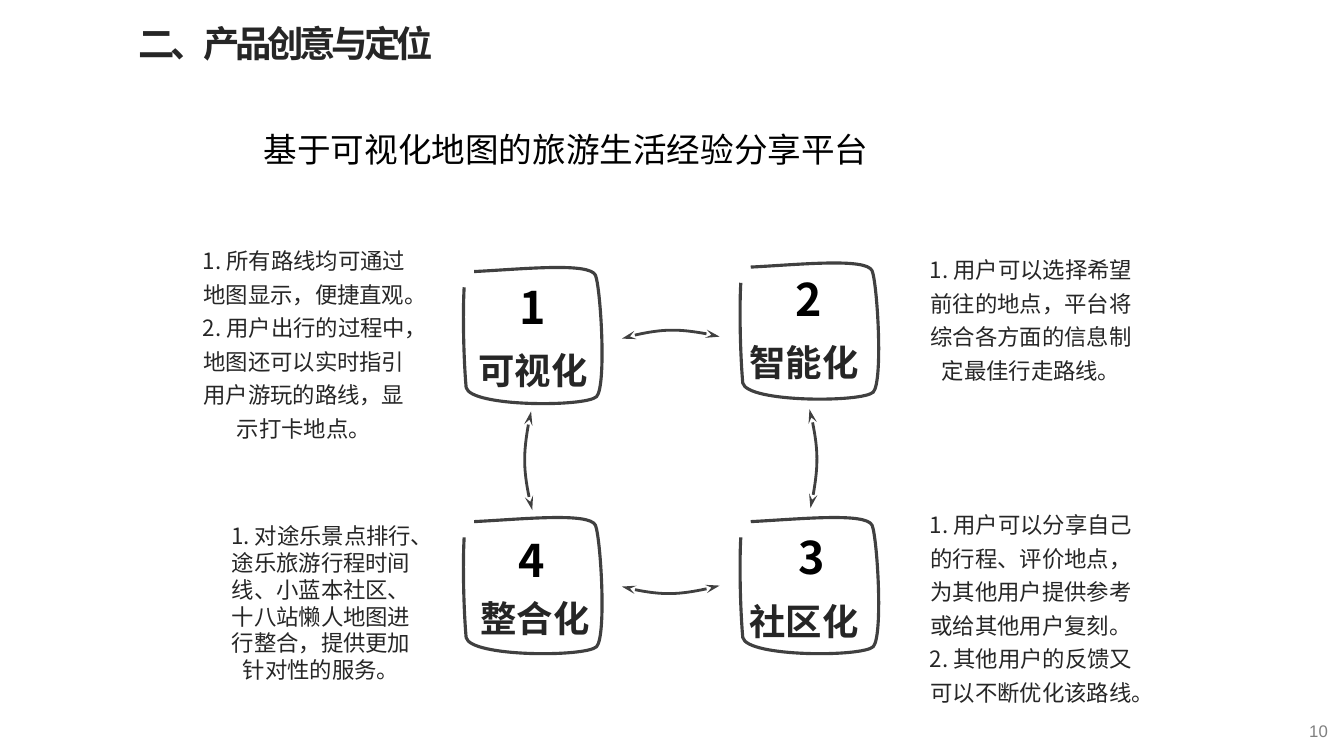
from lxml import etree
from pptx import Presentation
from pptx.dml.color import RGBColor
from pptx.enum.text import MSO_AUTO_SIZE, PP_ALIGN
from pptx.oxml.ns import qn
from pptx.util import Pt

LEFT, CENTER, RIGHT, JUSTIFY = PP_ALIGN.LEFT, PP_ALIGN.CENTER, PP_ALIGN.RIGHT, PP_ALIGN.JUSTIFY
GROW = MSO_AUTO_SIZE.SHAPE_TO_FIT_TEXT
CJK = "Noto Sans CJK SC"
INK, LINE, BLACK, GREY, WHITE = "262626", "404040", "000000", "808080", "FFFFFF"

TITLE = dict(size=26, bold=True, color=INK, align=JUSTIFY, tracking=-300)
SUBTITLE = dict(size=24, color=BLACK, align=CENTER, wrap=False)
NUMBER = dict(size=32, bold=True, color=BLACK, wrap=False)
LABEL = dict(size=26, bold=True, color=INK, align=CENTER)
NOTE = dict(size=16, color=INK, align=CENTER, spacing=1.25)
TIGHT_NOTE = dict(size=16, color=INK, align=CENTER)
PAGE = dict(size=12, color=GREY, align=RIGHT, spacing=1.2, font="Arial")

HEADING = (["二、产品创意与定位"], (91.9, 11.5, 254, 39), TITLE)
TEXTS = [
    (["1. 对途乐景点排行、途乐旅游行程时间线、小蓝本社区、十八站懒人地图进行整合，提供更加针对性的服务。"],
     (150.9, 369.4, 157, 123.8), TIGHT_NOTE),
    (["1. 所有路线均可通过地图显示，便捷直观。",
      "2. 用户出行的过程中，地图还可以实时指引用户游玩的路线，显示打卡地点。"],
     (135.8, 168.3, 162.7, 152.6), NOTE),
    (["1. 用户可以选择希望前往的地点，平台将综合各方面的信息制定最佳行走路线。"],
     (655.2, 174.7, 162.7, 104.4), NOTE),
    (["1. 用户可以分享自己的行程、评价地点，为其他用户提供参考或给其他用户复刻。2. 其他用户的反馈又可以不断优化该路线。"],
     (655.2, 356.8, 162.7, 152.6), NOTE),
    (["基于可视化地图的旅游生活经验分享平台"], (181.2, 88.4, 446.4, 36), SUBTITLE),
    (["10"], (721.6, 508.3, 234, 24.5), PAGE),
]
CARDS = [
    ("1", "可视化", (331.2, 190.8), (363.8, 196.2), (332.9, 245.2)),
    ("2", "智能化", (528.8, 187.6), (560.9, 190.8), (526.6, 239.6)),
    ("3", "社区化", (528.8, 369.4), (563.5, 375.1), (526.6, 424.5)),
    ("4", "整合化", (331.2, 369.4), (363.6, 376.6), (334.4, 422.2)),
]
FRAME = [(7.5, 3.2), (42.5, 1.4), (90, -3.6), (94.2, 5.8),
         (97.9, 15.1), (102.2, 84.2), (95, 92.5),
         (87.1, 100), (5, 100), (1.8, 86),
         (0, 65.5), (-0.7, 33), (0.4, 14.4)]
ARROWS = [
    [(578.2, 292.3), (584.6, 315.4), (584.6, 339.1), (578.9, 362.9)],
    [(380.2, 364.3), (373.7, 341.3), (373.7, 317.5), (379.4, 293.8)],
    [(444.2, 241.9), (467.3, 234.7), (491, 234.7), (514.1, 240.5)],
    [(514.1, 418.3), (491, 424.8), (467.3, 425.5), (444.2, 419)],
]


def rgb(value):
    return RGBColor.from_string(value)


def add_text(s, lines, box, style):
    tf = s.shapes.add_textbox(*map(Pt, box)).text_frame
    tf.word_wrap = style.get("wrap", True)
    tf.auto_size = GROW
    font = style.get("font", CJK)
    values = dict(name=font, size=Pt(style["size"]), bold=style.get("bold", False))
    for i, line in enumerate(lines):
        p = tf.paragraphs[0] if i == 0 else tf.add_paragraph()
        p.alignment = style.get("align", LEFT)
        p.line_spacing = style.get("spacing", 1.0)
        r = p.add_run()
        r.text = line
        for name, value in values.items():
            setattr(r.font, name, value)
        r.font.color.rgb = rgb(style["color"])
        rPr = r.font._element
        etree.SubElement(rPr, qn("a:ea")).set("typeface", font)
        if "tracking" in style:
            rPr.set("spc", str(style["tracking"]))


def add_curve(s, knots, width):
    points = [(Pt(x), Pt(y)) for x, y in knots]
    builder = s.shapes.build_freeform(*points[0])
    builder.add_line_segments(points[1:], close=False)
    sp = builder.convert_to_shape()
    lines = list(sp._element.iter(qn("a:lnTo")))
    for i in range(0, len(lines), 3):
        curve = etree.Element(qn("a:cubicBezTo"))
        lines[i].addprevious(curve)
        for line in lines[i:i + 3]:
            curve.append(line[0])
            line.getparent().remove(line)
    sp.shadow.inherit = False
    sp.line.color.rgb = rgb(LINE)
    sp.line.width = Pt(width)
    return sp


prs = Presentation()
prs.slide_width, prs.slide_height = Pt(960), Pt(540)
s = prs.slides.add_slide(prs.slide_layouts[6])

add_text(s, *HEADING)

for _, _, (x, y), _, _ in CARDS:
    frame = add_curve(s, [(x + dx, y + dy) for dx, dy in FRAME], 2.25)
    frame.fill.solid()
    frame.fill.fore_color.rgb = rgb(WHITE)

for knots in ARROWS:
    arrow = add_curve(s, knots, 2)
    arrow.fill.background()
    ln = arrow.line._get_or_add_ln()
    for end in ("a:headEnd", "a:tailEnd"):
        head = etree.SubElement(ln, qn(end))
        head.set("type", "stealth")
        head.set("len", "lg")

for number, label, _, number_at, label_at in CARDS:
    add_text(s, [label], (*label_at, 95.8, 39), LABEL)
    add_text(s, [number], (*number_at, 33.8, 46), NUMBER)

for lines, box, style in TEXTS:
    add_text(s, lines, box, style)

prs.save("out.pptx")
